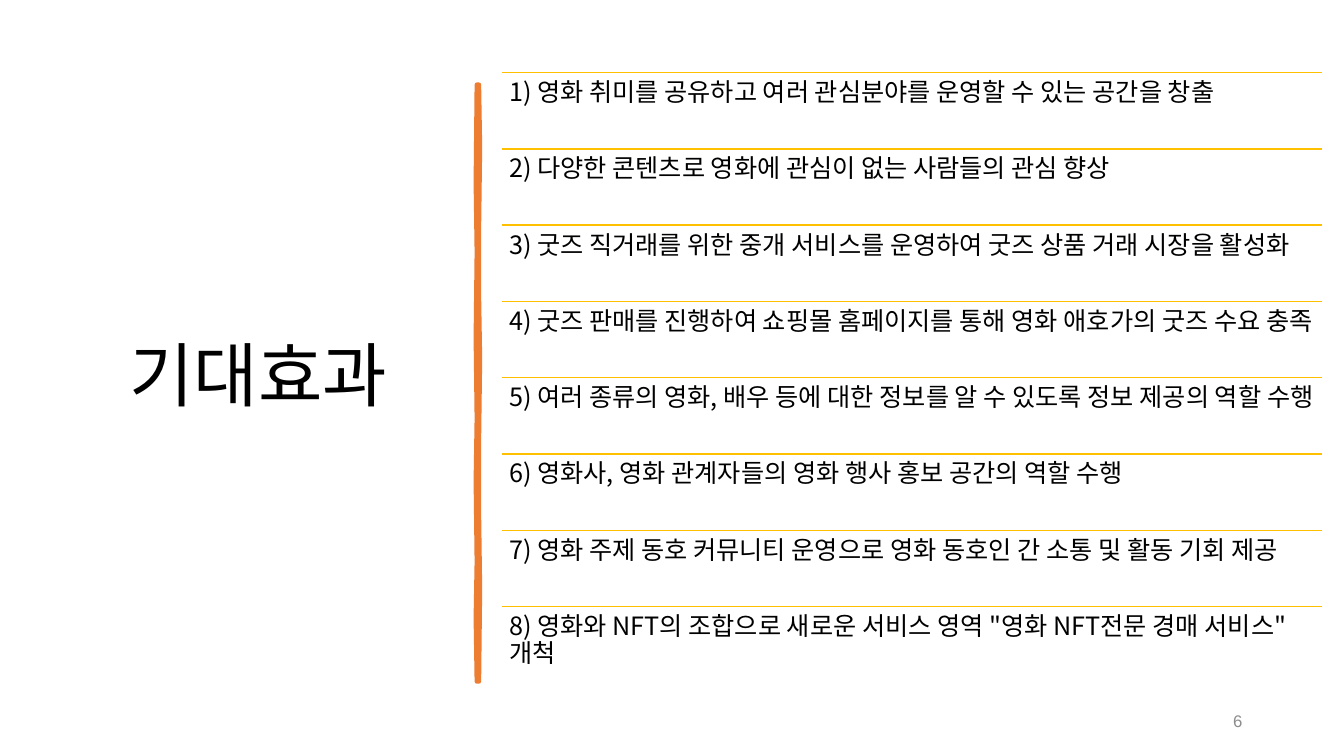
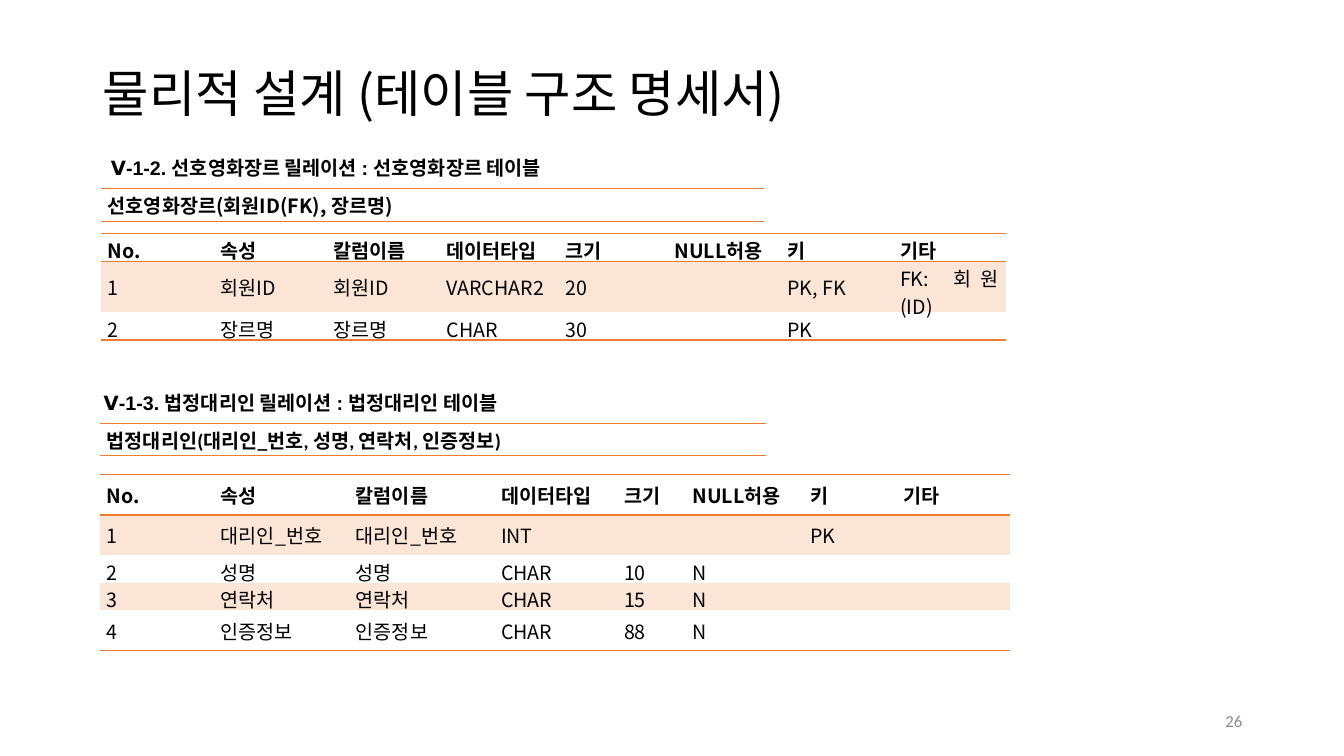
"""Build two slides of a film service plan: expected effects and table specifications."""
from lxml.etree import SubElement
from pptx import Presentation
from pptx.dml.color import RGBColor
from pptx.enum.shapes import MSO_CONNECTOR
from pptx.enum.text import MSO_ANCHOR, MSO_AUTO_SIZE, PP_ALIGN
from pptx.oxml.ns import qn
from pptx.util import Inches, Pt

NOTO = "Noto Sans CJK KR"
ORANGE, GOLD, PEACH, GREY, BLACK = "ED7D31", "FFC000", "FBE5D6", "8C8C8C", "000000"
PLAIN = "{2D5ABB26-0587-4C30-8999-92F81FD0307C}"
unit = Inches(0.01)


def ink(fill, hue):
    fill.solid()
    fill.fore_color.rgb = RGBColor.from_string(hue)


def write(frame, text, size, font=NOTO, bold=False, align=PP_ALIGN.LEFT, hue=BLACK, space=1.0):
    frame.word_wrap = True
    para = frame.paragraphs[0]
    para.alignment = align
    para.line_spacing = space
    if not text:
        para._p.get_or_add_endParaRPr().set("sz", str(size * 100))
        return
    run = para.add_run()
    run.text = text
    run.font.size = Pt(size)
    run.font.bold = bold
    ink(run.font.fill, hue)
    run.font.name = font
    SubElement(run._r.rPr, qn("a:ea")).set("typeface", NOTO)


deck = Presentation()
deck.slide_width, deck.slide_height = Inches(13.33), Inches(7.5)

pages = [
    ("기대효과", (69, 70, 374, 611), 50, PP_ALIGN.CENTER, "6", "Arial"),
    ("물리적 설계 (테이블 구조 명세서)", (92, 23, 1150, 145), 36, PP_ALIGN.LEFT, "26", "Calibri"),
]
slides = []
for name, box, size, align, number, font in pages:
    slide = deck.slides.add_slide(deck.slide_layouts[5])
    slides.append(slide)
    title = slide.shapes.title
    title.left, title.top, title.width, title.height = [n * unit for n in box]
    title.text_frame.auto_size = MSO_AUTO_SIZE.NONE
    title.text_frame.vertical_anchor = MSO_ANCHOR.MIDDLE
    write(title.text_frame, name, size, align=align, space=0.9)
    foot = slide.shapes.add_textbox(942 * unit, 695 * unit, 300 * unit, 40 * unit)
    foot.text_frame.vertical_anchor = MSO_ANCHOR.MIDDLE
    write(foot.text_frame, number, 12, font, align=PP_ALIGN.RIGHT, hue=GREY)

goals, specs = slides

right = [(475, 84), (476, 146), (475, 226), (475, 294), (476, 356), (475, 436),
         (475, 510), (476, 584), (475, 676)]
left = [(473, 676), (472, 613), (473, 557), (472, 477), (473, 415), (472, 335),
        (473, 250), (472, 181), (473, 84)]
pen = goals.shapes.build_freeform(*right[0], scale=unit)
pen.add_line_segments(right[1:] + left)
brush = pen.convert_to_shape()
brush.shadow.inherit = False
ink(brush.fill, ORANGE)
ink(brush.line.fill, ORANGE)
brush.line.width = Pt(3.25)

effects = [
    "영화 취미를 공유하고 여러 관심분야를 운영할 수 있는 공간을 창출",
    "다양한 콘텐츠로 영화에 관심이 없는 사람들의 관심 향상",
    "굿즈 직거래를 위한 중개 서비스를 운영하여 굿즈 상품 거래 시장을 활성화",
    "굿즈 판매를 진행하여 쇼핑몰 홈페이지를 통해 영화 애호가의 굿즈 수요 충족",
    "여러 종류의 영화, 배우 등에 대한 정보를 알 수 있도록 정보 제공의 역할 수행",
    "영화사, 영화 관계자들의 영화 행사 홍보 공간의 역할 수행",
    "영화 주제 동호 커뮤니티 운영으로 영화 동호인 간 소통 및 활동 기회 제공",
    '영화와 NFT의 조합으로 새로운 서비스 영역 "영화 NFT전문 경매 서비스" 개척',
]
start, wide, pitch = 498 * unit, 813 * unit, Inches(0.757)
for i, effect in enumerate(effects):
    top = 72 * unit + i * pitch
    rule = goals.shapes.add_connector(MSO_CONNECTOR.STRAIGHT, start, top, start + wide, top)
    ink(rule.line.fill, GOLD)
    rule.line.width = Pt(1)
    SubElement(rule._element.spPr, qn("a:effectLst"))
    frame = goals.shapes.add_textbox(start, top, wide, pitch).text_frame
    frame.margin_left = frame.margin_right = 7 * unit
    frame.margin_top = frame.margin_bottom = 7 * unit
    write(frame, f"{i + 1}) {effect}", 18, space=0.9)

heads = [
    ("Ⅴ-1-2. 선호영화장르 릴레이션 : 선호영화장르 테이블", (100, 150, 539, 34)),
    ("Ⅴ-1-3. 법정대리인 릴레이션 : 법정대리인 테이블", (93, 383, 478, 34)),
]
for text, box in heads:
    frame = specs.shapes.add_textbox(*[n * unit for n in box]).text_frame
    write(frame, text, 14, "Arial", True, PP_ALIGN.JUSTIFY)

names = ["No.", "속성", "칼럼이름", "데이터타입", "크기", "NULL허용", "키", "기타"]
genre = [
    names,
    ["1", "회원ID", "회원ID", "VARCHAR2", "20", "", "PK, FK", "FK: 회원(ID)"],
    ["2", "장르명", "장르명", "CHAR", "30", "", "PK", ""],
]
agent = [
    names,
    ["1", "대리인_번호", "대리인_번호", "INT", "", "", "PK", ""],
    ["2", "성명", "성명", "CHAR", "10", "N", "", ""],
    ["3", "연락처", "연락처", "CHAR", "15", "N", "", ""],
    ["4", "인증정보", "인증정보", "CHAR", "88", "N", "", ""],
]
tables = [
    ([["선호영화장르(회원ID(FK), 장르명)"]], (100, 187, 658, 33), [658], [33], NOTO),
    (genre, (100, 232, 901, 106), [112, 112, 112, 118, 108, 112, 112, 112], [24, 44, 24], NOTO),
    ([["법정대리인(대리인_번호, 성명, 연락처, 인증정보)"]], (99, 420, 661, 32), [661], [32], "Calibri"),
    (agent, (99, 471, 902, 174), [113, 134, 144, 122, 68, 117, 92, 113], [40, 40, 18, 18, 40], NOTO),
]
for data, box, cols, rows, font in tables:
    holder = specs.shapes.add_table(len(rows), len(cols), *[n * unit for n in box])
    table = holder.table
    table.first_row = table.horz_banding = False
    table._tbl.tblPr.find(qn("a:tableStyleId")).text = PLAIN
    for col, size in zip(table.columns, cols):
        col.width = size * unit
    for row, size in zip(table.rows, rows):
        row.height = size * unit
    holder.height = box[3] * unit
    align = PP_ALIGN.JUSTIFY if len(cols) > 1 else PP_ALIGN.LEFT
    for r, line in enumerate(data):
        edges = ["lnT"] * (r == 0) + ["lnB"] * (r in (0, len(data) - 1))
        for c, text in enumerate(line):
            cell = table.cell(r, c)
            cell.vertical_anchor = MSO_ANCHOR.MIDDLE
            cell.margin_left = cell.margin_right = 7 * unit
            cell.margin_top = cell.margin_bottom = 2 * unit
            write(cell.text_frame, text, 14, font, r == 0, align)
            for edge in edges:
                side = SubElement(cell._tc.get_or_add_tcPr(), qn(f"a:{edge}"), w=str(Pt(1)))
                solid = SubElement(side, qn("a:solidFill"))
                SubElement(solid, qn("a:srgbClr"), val=ORANGE)
            if r % 2:
                ink(cell.fill, PEACH)
            else:
                cell.fill.background()

deck.save("out.pptx")
